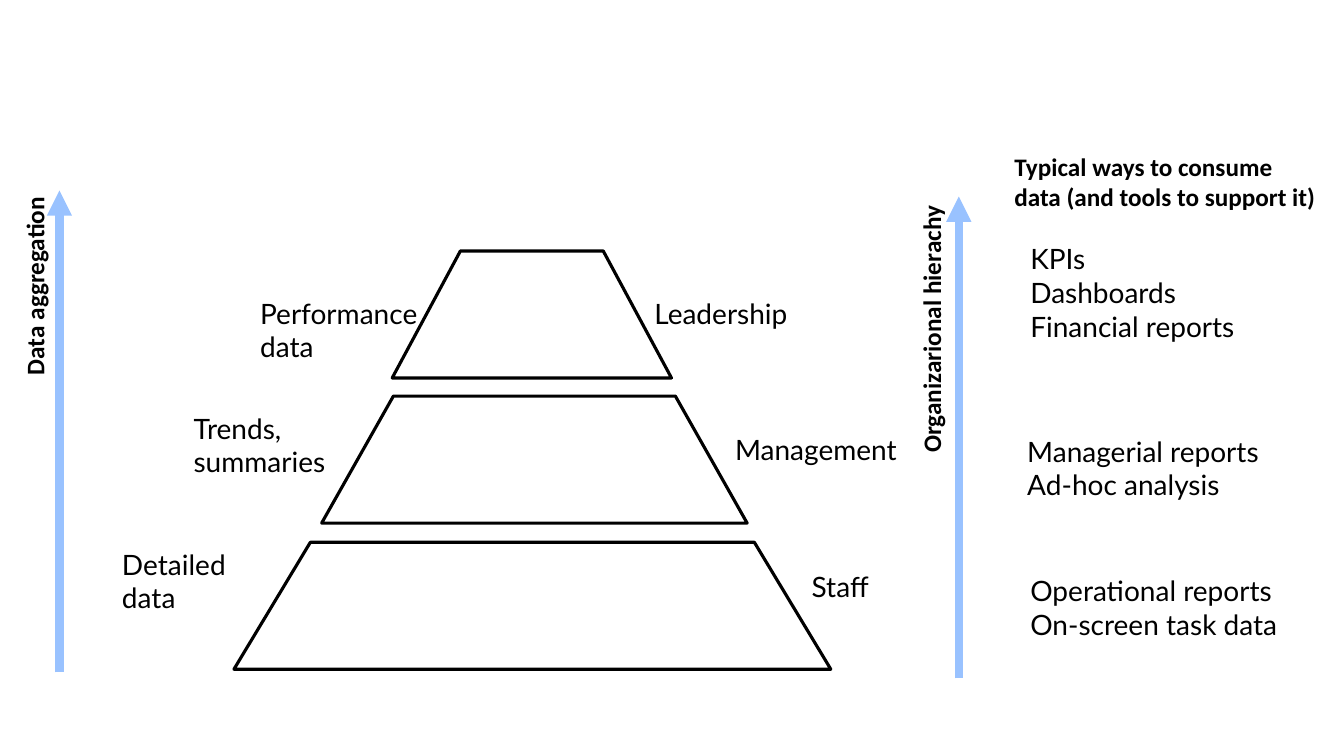
from lxml import etree
from pptx import Presentation
from pptx.dml.color import RGBColor
from pptx.enum import shapes, text
from pptx.oxml.ns import qn
from pptx.util import Inches, Pt

COLORS = {"ink": "000000", "arrow": "99C2FF", "panel": "FFFFFF"}
PANEL_OPACITY = 87

# left, top, width, slant of each level, from leadership down to staff
LEVELS = [
    (3.89, 2.49, 2.77, 0.537),
    (3.19, 3.93, 4.22, 0.565),
    (2.32, 5.38, 5.92, 0.602),
]
LEVEL_HEIGHT = 1.26

# left, top, width, height, lines
LEVEL_LABELS = [
    (2.58, 2.94, 1.98, 0.67, ["Performance data"]),
    (1.92, 4.08, 1.98, 0.67, ["Trends, summaries"]),
    (1.21, 5.43, 1.98, 0.67, ["Detailed", "data"]),
    (6.49, 2.94, 1.98, 0.34, ["Leadership"]),
    (7.29, 4.29, 1.98, 0.34, ["Management"]),
    (8.05, 5.65, 1.28, 0.34, ["Staff"]),
]
CONSUMPTION_PANELS = [
    (10.12, 2.35, 3.01, 1.11, ["KPIs", "Dashboards", "Financial reports"]),
    (10.09, 4.26, 3.04, 0.77, ["Managerial reports", "Ad-hoc analysis"]),
    (10.12, 5.64, 3.08, 0.77, ["Operational reports", "On-screen task data"]),
]


def rgb(name):
    return RGBColor.from_string(COLORS[name])


def box(left, top, width, height):
    return [Inches(value) for value in (left, top, width, height)]


def write(shape, lines, font="Lato", size=20, bold=False,
          align=text.PP_ALIGN.LEFT, inset=(0.1, 0.05), grow=True):
    """Fill a shape with one paragraph per line; inset is (sides, top and bottom)."""
    frame = shape.text_frame
    frame.word_wrap = True
    frame.auto_size = (text.MSO_AUTO_SIZE.SHAPE_TO_FIT_TEXT if grow
                       else text.MSO_AUTO_SIZE.NONE)
    frame.vertical_anchor = text.MSO_ANCHOR.TOP
    frame.margin_left = frame.margin_right = Inches(inset[0])
    frame.margin_top = frame.margin_bottom = Inches(inset[1])
    for index, line in enumerate(lines):
        paragraph = frame.paragraphs[0] if index == 0 else frame.add_paragraph()
        paragraph.alignment = align
        run = paragraph.add_run()
        run.text = line
        run.font.name = font
        run.font.size = Pt(size)
        run.font.bold = bold
        run.font.color.rgb = rgb("ink")


def add_label(slide, bounds, lines, rotation=0, **style):
    label = slide.shapes.add_textbox(*box(*bounds))
    label.rotation = rotation
    write(label, lines, **style)


def add_heading(slide, bounds, heading, **style):
    add_label(slide, bounds, [heading], font="Calibri", size=18, bold=True, **style)


def add_up_arrow(slide, x, bottom, top):
    arrow = slide.shapes.add_connector(
        shapes.MSO_CONNECTOR.STRAIGHT, *box(x, bottom, x, top))
    arrow.line.color.rgb = rgb("arrow")
    arrow.line.width = Pt(6)
    etree.SubElement(arrow.line._get_or_add_ln(), qn("a:tailEnd"), type="triangle")
    etree.SubElement(arrow._element.spPr, qn("a:effectLst"))


def add_level(slide, left, top, width, slant):
    level = slide.shapes.add_shape(
        shapes.MSO_SHAPE.TRAPEZOID, *box(left, top, width, LEVEL_HEIGHT))
    level.adjustments[0] = slant
    level.shadow.inherit = False
    level.fill.background()
    level.line.color.rgb = rgb("ink")
    level.line.width = Pt(2.25)


def add_panel(slide, bounds, lines):
    """Add a translucent borderless panel with a list of reports."""
    panel = slide.shapes.add_shape(shapes.MSO_SHAPE.RECTANGLE, *box(*bounds))
    panel.shadow.inherit = False
    panel.fill.solid()
    panel.fill.fore_color.rgb = rgb("panel")
    color = panel._element.spPr.find(qn("a:solidFill")).find(qn("a:srgbClr"))
    etree.SubElement(color, qn("a:alpha"), val=str(PANEL_OPACITY * 1000))
    panel.line.fill.background()
    write(panel, lines)


def main():
    deck = Presentation()
    deck.slide_width, deck.slide_height = Inches(13.33), Inches(7.5)
    slide = deck.slides.add_slide(deck.slide_layouts[6])

    add_up_arrow(slide, 0.59, 6.67, 1.89)
    add_heading(slide, (-0.83, 2.57, 2.22, 0.28), "Data aggregation", rotation=270)
    add_heading(slide, (9.86, 1.34, 3.41, 0.77),
                "Typical ways to consume data (and tools to support it)",
                inset=(0.2, 0.16), grow=False)
    add_up_arrow(slide, 9.51, 6.73, 1.95)
    add_heading(slide, (6.91, 4.07, 4.65, 0.4), "Organizarional hierachy",
                rotation=270, align=text.PP_ALIGN.RIGHT)

    for level in LEVELS:
        add_level(slide, *level)
    for *bounds, lines in LEVEL_LABELS:
        add_label(slide, bounds, lines, inset=(0, 0))
    for *bounds, lines in CONSUMPTION_PANELS:
        add_panel(slide, bounds, lines)

    deck.save("out.pptx")


if __name__ == "__main__":
    main()
